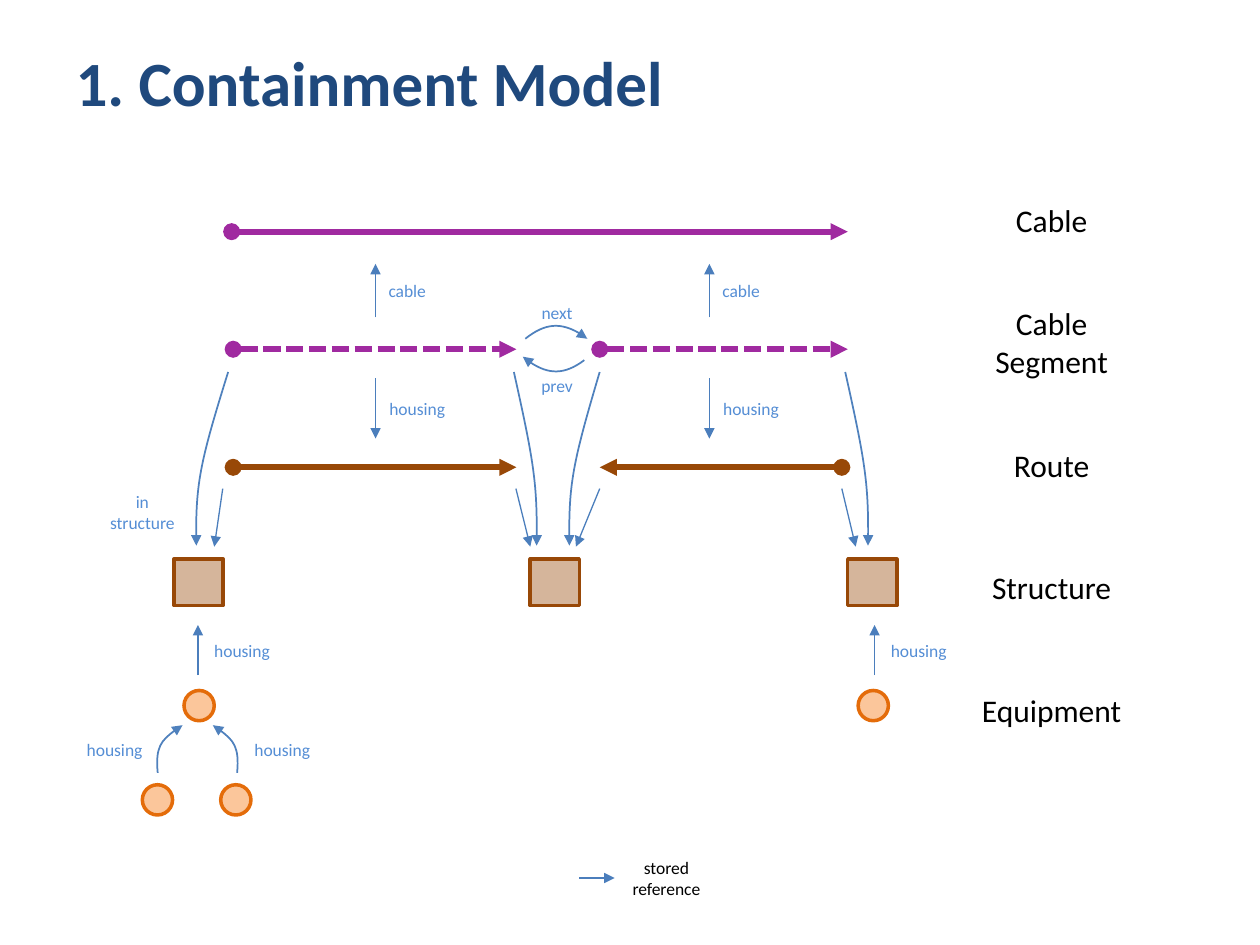
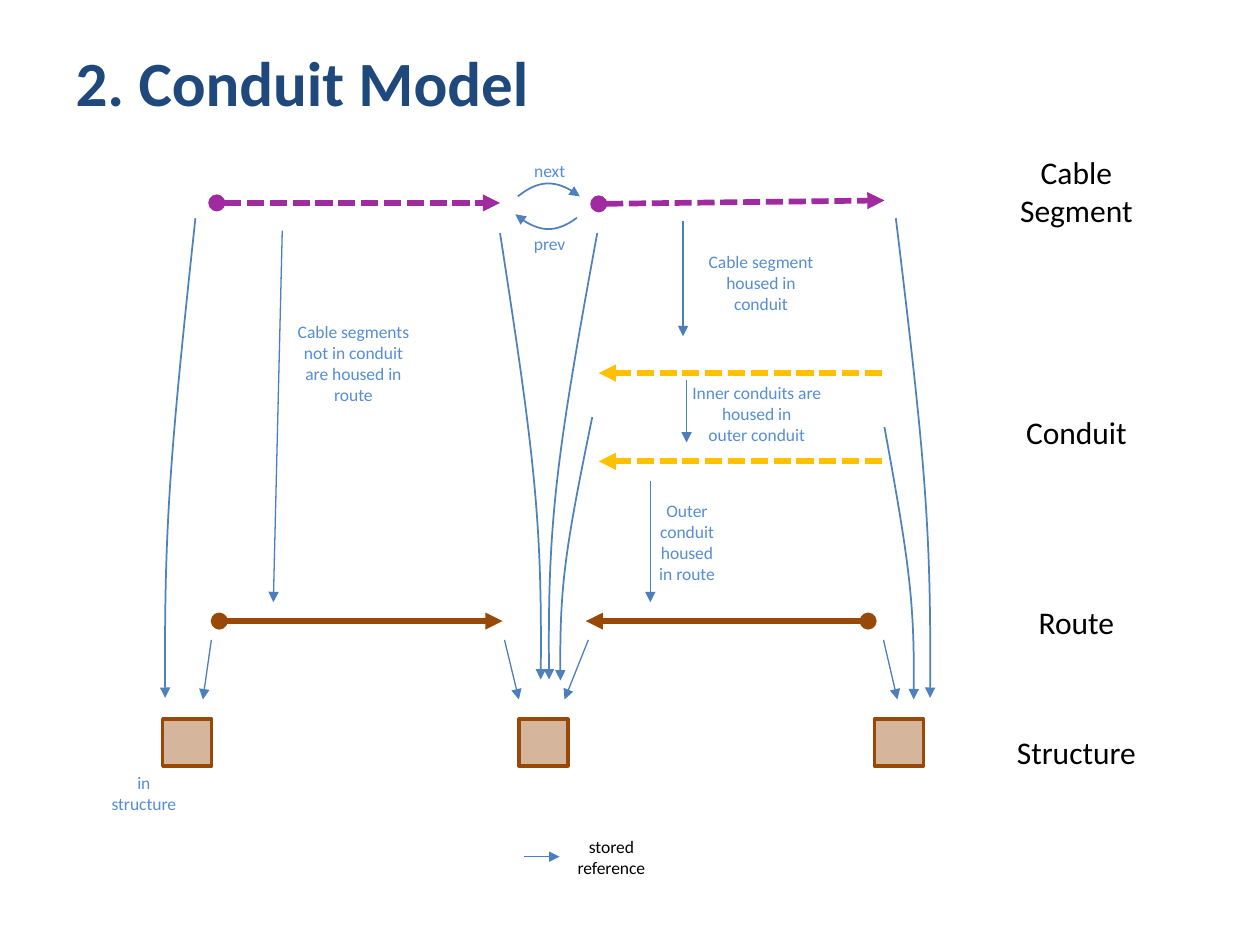
"""Build two network diagrams: the containment model and the conduit model."""
from dataclasses import dataclass

from lxml import etree
from pptx import Presentation
from pptx.dml.color import RGBColor
from pptx.enum.dml import MSO_LINE
from pptx.enum.shapes import MSO_CONNECTOR, MSO_SHAPE
from pptx.enum.text import MSO_ANCHOR, MSO_AUTO_SIZE, PP_ALIGN
from pptx.oxml.ns import qn
from pptx.util import Cm, Pt

DASHED = MSO_LINE.SQUARE_DOT
STRAIGHT = MSO_CONNECTOR.STRAIGHT
RECTANGLE, OVAL = MSO_SHAPE.RECTANGLE, MSO_SHAPE.OVAL
MIDDLE = MSO_ANCHOR.MIDDLE
LEFT, CENTER = PP_ALIGN.LEFT, PP_ALIGN.CENTER
NO_AUTOFIT = MSO_AUTO_SIZE.NONE
TITLE_ONLY = 5


@dataclass(frozen=True)
class Theme:
    font: str = "Calibri"
    title: str = "1F497D"
    text: str = "000000"
    note: str = "558ED5"
    reference: str = "4B7EBC"
    curve: str = "4F81BD"
    cable: str = "A02AA0"
    route: str = "984807"
    conduit: str = "FFC000"
    equipment: str = "E46C0A"
    equipment_fill: str = "FBC69B"
    title_size: float = 36
    role_size: float = 18
    note_size: float = 10
    span_width: float = 3.25
    box_width: float = 2
    curve_width: float = 1
    reference_width: float = 0.75


THEME = Theme()

LINE_STYLES = {
    "cable": (THEME.cable, THEME.span_width, None, "oval"),
    "segment": (THEME.cable, THEME.span_width, DASHED, "oval"),
    "route": (THEME.route, THEME.span_width, None, "oval"),
    "conduit": (THEME.conduit, THEME.span_width, DASHED, None),
    "reference": (THEME.reference, THEME.reference_width, None, None),
}
BOX_STYLES = {
    "structure": (RECTANGLE, 0.99, 0.94, THEME.route, THEME.route),
    "equipment": (OVAL, 0.61, 0.61, THEME.equipment_fill, THEME.equipment),
}
CURVE_CONTROLS = {
    "drop": [(0.85, 0.5), (1.04, 0.65)],
    "hook": [(-0.1, 0.55), (0.25, 0.75)],
    "bow": [(0.33, 0.33), (0.67, 0.67)],
}
BOW_SAG = 0.33
NOTE_WIDTH, NOTE_HEIGHT = 1.88, 0.74
ROLE_WIDTH, ROLE_HEIGHT = 3.4, 1.4

ROLES = ["Cable", "Cable Segment", "Route", "Structure", "Equipment"]

PAGES = [
    {
        "title": "1. Containment Model",
        "role_left": 19.5,
        "roles": [(role, 3.73 + 2.47 * row) for row, role in enumerate(ROLES)],
        "boxes": [("structure", 11.27, [3.51, 10.69, 17.09]),
                  ("equipment", 13.92, [3.71, 17.3]),
                  ("equipment", 15.82, [2.87, 4.45])],
        "feeds": (9.85, 11.02, -0.12),
        "lines": [("cable", 4.67, 4.67, [(4.67, 17.09)]),
                  ("segment", 7.04, 7.04, [(4.7, 10.41), (12.09, 17.09)]),
                  ("route", 9.42, 9.42, [(4.7, 10.41), (16.97, 12.09)])],
        "curves": [("drop", 7.5, 11, [(4.6, 3.96), (10.36, 10.82),
                                      (12.09, 11.48), (17.04, 17.5)]),
                   ("hook", 15.58, 14.62, [(3.18, 3.68), (4.78, 4.29)])],
        "verticals": [("cable", -0.3, 6.4, 5.32, [7.57, 14.3]),
                      ("housing", -0.1, 7.62, 8.84, [7.57, 14.3]),
                      ("housing", -0.05, 13.61, 12.6, [3.99, 17.63])],
        "notes": [("housing", NOTE_WIDTH, 1.37, 15.1),
                  ("housing", NOTE_WIDTH, 4.75, 15.1),
                  ("in\vstructure", NOTE_WIDTH, 1.93, 10.33)],
        "next_prev": (10.59, 6.83),
        "legend": (11.68, 17.7),
    },
    {
        "title": "2. Conduit Model",
        "role_left": 20,
        "roles": [("Cable Segment", 3.15), ("Conduit", 8),
                  ("Route", 11.84), ("Structure", 14.45)],
        "boxes": [("structure", 14.5, [3.28, 10.46, 17.63])],
        "feeds": (12.9, 14.1, 0.18),
        "lines": [("segment", 4.09, 4.09, [(4.37, 10.08)]),
                  ("segment", 4.11, 4.04, [(12.07, 17.83)]),
                  ("conduit", 7.52, 7.52, [(17.78, 12.07)]),
                  ("conduit", 9.3, 9.3, [(17.78, 12.07)]),
                  ("route", 12.52, 12.52, [(4.42, 10.13), (17.5, 11.81)]),
                  ("reference", 4.65, 12.14, [(5.69, 5.51)])],
        "curves": [("drop", 4.7, 13.7, [(10.08, 10.9), (12.04, 11.07)]),
                   ("drop", 4.4, 14.07, [(3.94, 3.33), (18.06, 18.75)]),
                   ("drop", 8.41, 13.72, [(11.94, 11.3)]),
                   ("drop", 8.61, 14.1, [(17.83, 18.42)])],
        "verticals": [("Outer conduit housed in route", -0.2, 9.7, 12.14, [13.11])],
        "notes": [("Cable segments not in conduit are housed in route",
                   2.87, 5.69, 7.32),
                  ("Cable segment housed in conduit", 3, 13.84, 5.7),
                  ("Inner conduits are housed in\nouter conduit", 3.23, 13.64, 8.33),
                  ("in\vstructure", NOTE_WIDTH, 1.96, 15.99)],
        "plain_verticals": [(4.45, 6.78, 13.77), (7.67, 8.92, 13.84)],
        "next_prev": (10.44, 3.96),
        "legend": (10.57, 17.27),
    },
]


def write_text(shape, text, box, size, color, alignment=CENTER, bold=False):
    shape.left, shape.top, shape.width, shape.height = map(Cm, box)
    frame = shape.text_frame
    frame.text = text
    frame.word_wrap = True
    frame.auto_size = NO_AUTOFIT
    frame.vertical_anchor = MIDDLE
    for paragraph in frame.paragraphs:
        paragraph.alignment = alignment
        paragraph.font.name = THEME.font
        paragraph.font.size = Pt(size)
        paragraph.font.bold = bold
        paragraph.font.color.rgb = RGBColor.from_string(color)


def style_arrow(shape, color, width, dash=None, head=None):
    shape.line.color.rgb = RGBColor.from_string(color)
    shape.line.width = Pt(width)
    if dash:
        shape.line.dash_style = dash
    properties = shape._element.spPr
    outline = properties.find(qn("a:ln"))
    if head:
        etree.SubElement(outline, qn("a:headEnd"), type=head)
    etree.SubElement(outline, qn("a:tailEnd"), type="triangle")
    etree.SubElement(properties, qn("a:effectLst"))


presentation = Presentation()
presentation.slide_width = Cm(25.4)
presentation.slide_height = Cm(19.05)

for page in PAGES:
    slide = presentation.slides.add_slide(presentation.slide_layouts[TITLE_ONLY])
    shapes = slide.shapes
    write_text(shapes.title, page["title"], (1.27, 0.76, 22.86, 1.75),
               THEME.title_size, THEME.title, LEFT, True)

    for kind, top, lefts in page["boxes"]:
        preset, width, height, fill, line = BOX_STYLES[kind]
        for left in lefts:
            shape = shapes.add_shape(preset, Cm(left), Cm(top), Cm(width), Cm(height))
            shape.shadow.inherit = False
            shape.fill.solid()
            shape.fill.fore_color.rgb = RGBColor.from_string(fill)
            shape.line.color.rgb = RGBColor.from_string(line)
            shape.line.width = Pt(THEME.box_width)
            if kind == "structure":
                fill_color = shape._element.spPr.find(qn("a:solidFill"))[0]
                etree.SubElement(fill_color, qn("a:alpha"), val="40000")

    first, middle, last = page["boxes"][0][2]
    feed_top, feed_bottom, last_shift = page["feeds"]
    feeds = [(first + 0.98, first + 0.81), (middle - 0.29, middle),
             (middle + 1.4, middle + 0.92), (last + last_shift, last + last_shift + 0.28)]
    legend_x, legend_y = page["legend"]
    lines = page["lines"] + [
        ("reference", feed_top, feed_bottom, feeds),
        ("reference", legend_y, legend_y, [(legend_x, legend_x + 0.71)])]
    notes = list(page["notes"])
    for start_y, end_y, x in page.get("plain_verticals", []):
        lines.append(("reference", start_y, end_y, [(x, x)]))
    for text, shift, start_y, end_y, columns in page["verticals"]:
        lines.append(("reference", start_y, end_y, [(x, x) for x in columns]))
        notes += [(text, NOTE_WIDTH, x + shift, (start_y + end_y) / 2) for x in columns]
    for kind, start_y, end_y, pairs in lines:
        for start_x, end_x in pairs:
            connector = shapes.add_connector(
                STRAIGHT, Cm(start_x), Cm(start_y), Cm(end_x), Cm(end_y))
            style_arrow(connector, *LINE_STYLES[kind])

    x, y = page["next_prev"]
    notes += [("next", NOTE_WIDTH, x - 0.3, y - 0.52),
              ("prev", NOTE_WIDTH, x - 0.3, y + 0.95)]
    curves = [(kind, start_x, start_y, end_x, end_y, 0)
              for kind, start_y, end_y, pairs in page["curves"]
              for start_x, end_x in pairs]
    curves += [("bow", x, y, x + 1.25, y, -BOW_SAG),
               ("bow", x + 1.19, y + 0.43, x - 0.05, y + 0.36, BOW_SAG)]
    for kind, start_x, start_y, end_x, end_y, sag in curves:
        points = [(Cm(start_x + (end_x - start_x) * across),
                   Cm(start_y + (end_y - start_y) * down + sag))
                  for across, down in CURVE_CONTROLS[kind]]
        builder = shapes.build_freeform(Cm(start_x), Cm(start_y))
        builder.add_line_segments(points + [(Cm(end_x), Cm(end_y))], close=False)
        shape = builder.convert_to_shape()
        bezier, *others = shape._element.xpath(".//a:lnTo")
        for segment in others:
            bezier.append(segment[0])
            segment.getparent().remove(segment)
        bezier.tag = qn("a:cubicBezTo")
        shape.fill.background()
        style_arrow(shape, THEME.curve, THEME.curve_width)

    labels = [(text, (page["role_left"], top, ROLE_WIDTH, ROLE_HEIGHT),
               THEME.role_size, THEME.text) for text, top in page["roles"]]
    labels += [(text, (left, center - NOTE_HEIGHT / 2, width, NOTE_HEIGHT),
                THEME.note_size, THEME.note) for text, width, left, center in notes]
    labels.append(("stored reference",
                   (legend_x + 0.6, legend_y - NOTE_HEIGHT / 2, 2.31, NOTE_HEIGHT),
                   THEME.note_size, THEME.text))
    for text, box, size, color in labels:
        write_text(shapes.add_textbox(*map(Cm, box)), text, box, size, color)

presentation.save("out.pptx")
